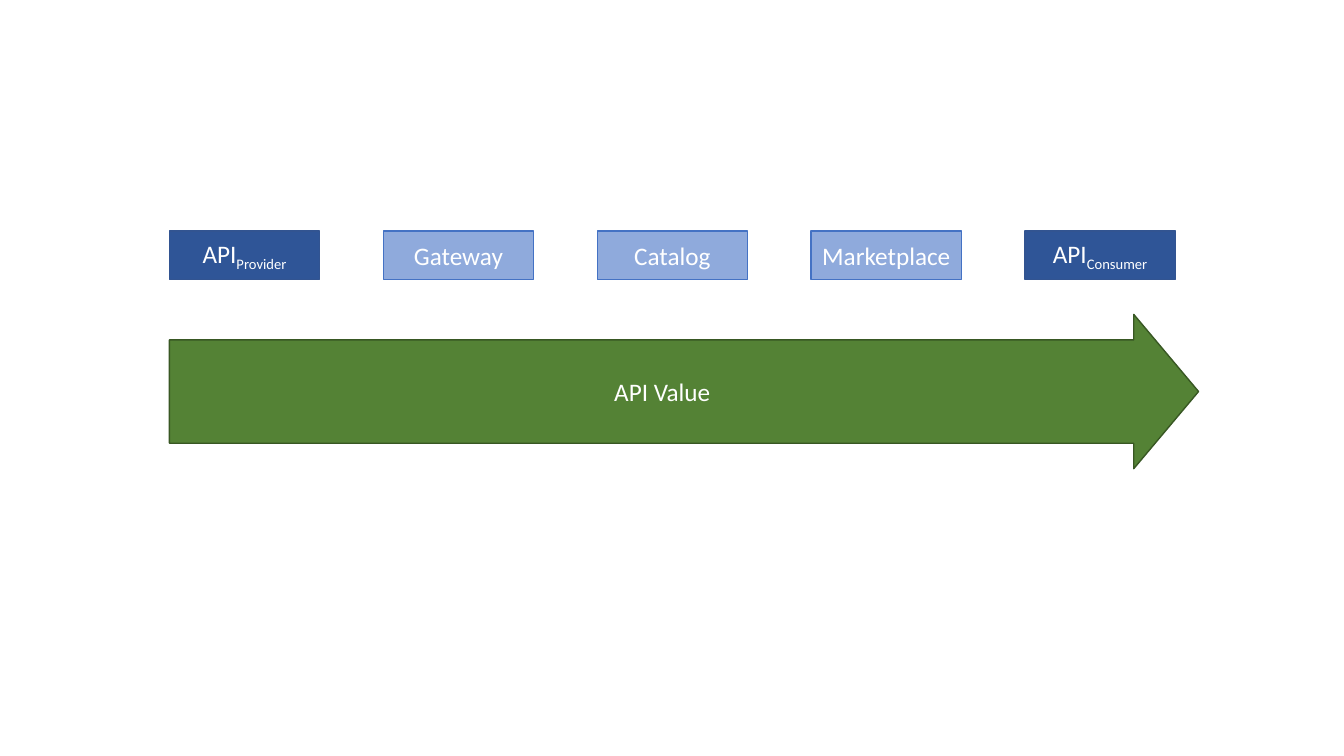
from dataclasses import dataclass

from pptx import Presentation
from pptx.dml.color import RGBColor as RGB
from pptx.enum.shapes import MSO_SHAPE as Shape
from pptx.enum.text import MSO_ANCHOR as Anchor, PP_ALIGN as Align
from pptx.util import Pt

# Content: label, subscript, style
STAGES = [
    ("API", "Provider", "end"),
    ("Gateway", "", "middle"),
    ("Catalog", "", "middle"),
    ("Marketplace", "", "middle"),
    ("API", "Consumer", "end"),
]
VALUE_LABEL = "API Value"


@dataclass(frozen=True)
class Theme:
    font: str = "Calibri"
    size: float = 18
    text: str = "FFFFFF"
    line_width: float = 1
    # Style: (fill, line)
    styles = {
        "end": ("2F5597", "325491"),
        "middle": ("8FAADC", "4472C4"),
        "value": ("548235", "385723"),
    }


THEME = Theme()

# Layout in points
SLIDE_W, SLIDE_H = 960, 540
LEFT = 121
STAGE_TOP, STAGE_W, STAGE_H = 164.9, 107.3, 34.6
STAGE_PITCH = 152.8
ARROW_TOP, ARROW_W, ARROW_H = 224.6, 735.1, 110.2


def add_block(slide, kind, box, style, label, subscript=""):
    block = slide.shapes.add_shape(kind, *(Pt(length) for length in box))
    block.shadow.inherit = False
    fill, line = THEME.styles[style]
    block.fill.solid()
    block.fill.fore_color.rgb = RGB.from_string(fill)
    block.line.color.rgb = RGB.from_string(line)
    block.line.width = Pt(THEME.line_width)

    frame = block.text_frame
    frame.word_wrap = True
    frame.vertical_anchor = Anchor.MIDDLE
    frame.text = label
    paragraph = frame.paragraphs[0]
    paragraph.alignment = Align.CENTER
    if subscript:
        lowered = paragraph.add_run()
        lowered.text = subscript
        lowered._r.get_or_add_rPr().set("baseline", "-25000")
    for run in paragraph.runs:
        run.font.name = THEME.font
        run.font.size = Pt(THEME.size)
        run.font.color.rgb = RGB.from_string(THEME.text)
    return block


def main():
    deck = Presentation()
    deck.slide_width, deck.slide_height = Pt(SLIDE_W), Pt(SLIDE_H)
    slide = deck.slides.add_slide(deck.slide_layouts[6])

    # Row of stages from provider to consumer
    for i, (label, subscript, style) in enumerate(STAGES):
        box = (LEFT + i * STAGE_PITCH, STAGE_TOP, STAGE_W, STAGE_H)
        add_block(slide, Shape.RECTANGLE, box, style, label, subscript)

    # Value arrow below the stages
    value = add_block(slide, Shape.RIGHT_ARROW,
                      (LEFT, ARROW_TOP, ARROW_W, ARROW_H), "value", VALUE_LABEL)
    value.adjustments[0] = 0.67
    value.adjustments[1] = 0.42

    deck.save("out.pptx")


if __name__ == "__main__":
    main()
